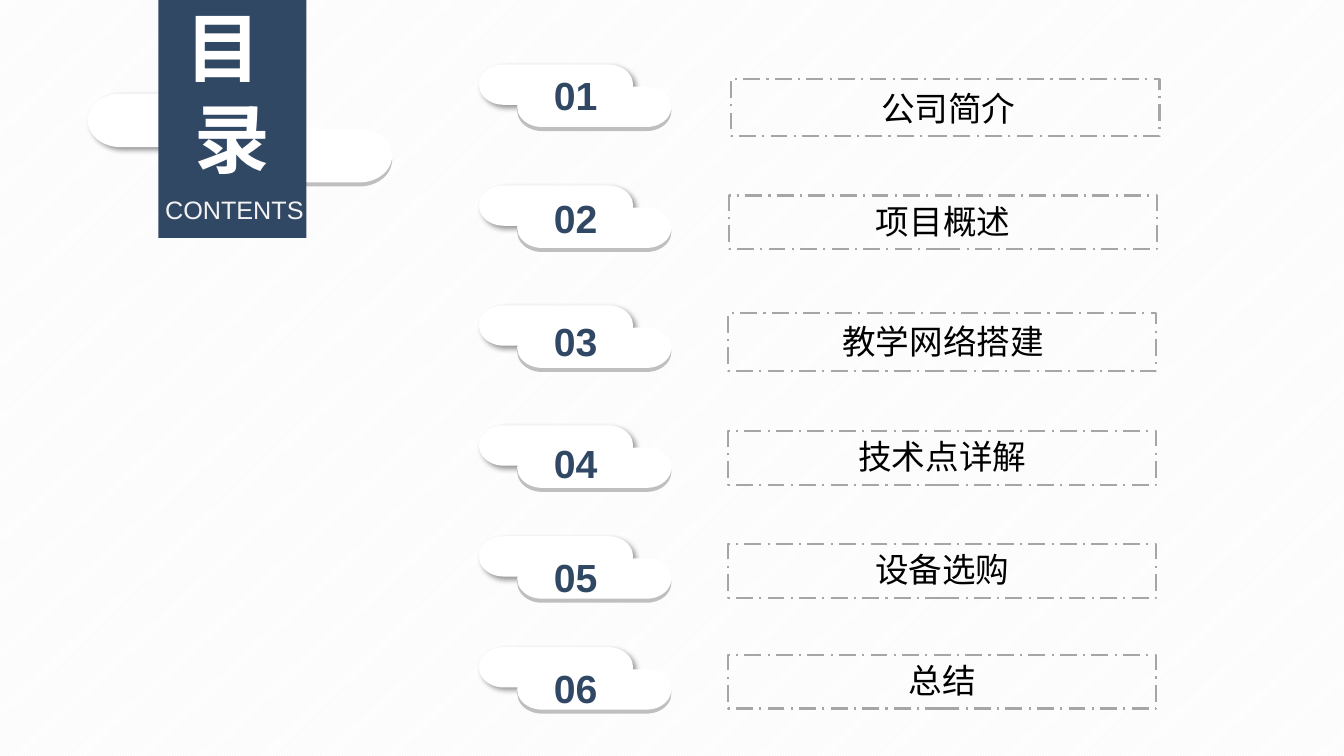
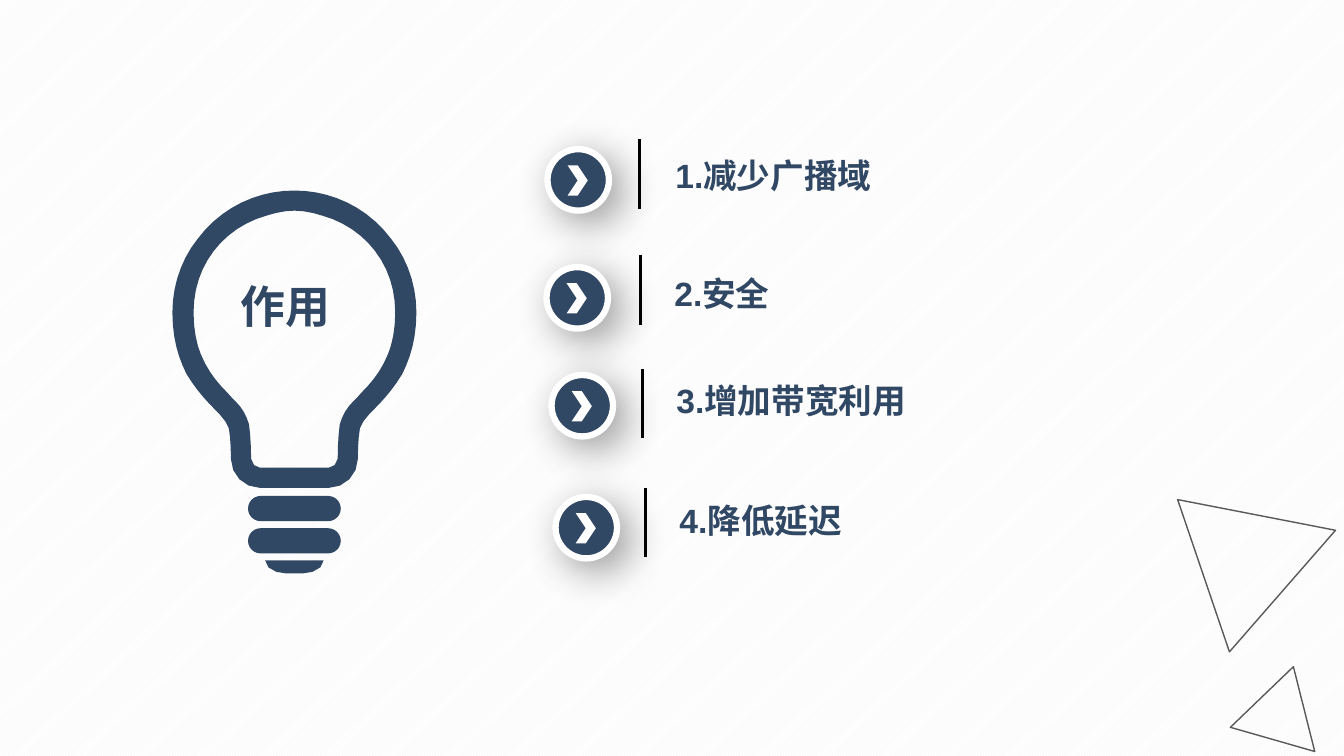
from dataclasses import dataclass
from math import dist

from lxml.etree import SubElement
from pptx import Presentation
from pptx.dml.color import RGBColor
from pptx.enum.dml import MSO_LINE, MSO_PATTERN
from pptx.enum.shapes import MSO_CONNECTOR, MSO_SHAPE
from pptx.enum.text import MSO_ANCHOR, PP_ALIGN
from pptx.oxml.ns import qn
from pptx.util import Inches, Pt


@dataclass(frozen=True)
class Theme:
    navy: str = "314865"
    white: str = "FFFFFF"
    pale: str = "F2F2F2"
    silver: str = "BFBFBF"
    gray: str = "A6A6A6"
    dark: str = "595959"
    black: str = "000000"
    font: str = "Arial"
    body_font: str = "Lato"
    bulb_font: str = "Noto Sans CJK SC"
    title: int = 54
    bulb: int = 32
    number: int = 28
    body: int = 24
    caption: int = 18


T = Theme()
SOFT = dict(opacity=40, blur=4, dist=3)
DEEP = dict(opacity=40, blur=30, dist=10)


def rgb(color):
    return RGBColor.from_string(color)


def write(tf, text, size=T.body, font=T.font, east=T.body_font, color=T.navy,
          bold=False, align=PP_ALIGN.LEFT, anchor=MSO_ANCHOR.TOP, inset=None):
    """Fill a text frame, one paragraph per line of text."""
    tf.word_wrap = True
    tf.vertical_anchor = anchor
    if inset is not None:
        tf.margin_left = tf.margin_right = Inches(inset)
        tf.margin_top = tf.margin_bottom = Inches(inset)
    for i, line in enumerate(text.split("\n")):
        p = tf.add_paragraph() if i else tf.paragraphs[0]
        p.alignment = align
        r = p.add_run()
        r.text = line
        r.font.size, r.font.bold, r.font.name = Pt(size), bold, font
        r.font.color.rgb = rgb(color)
        SubElement(r.font._element, qn("a:ea"), typeface=east)


def curve(start, pieces, step=0.12):
    """Points along a chain of cubic Bezier pieces, spaced by about one step."""
    points = [start]
    for a, b, c in pieces:
        o = points[-1]
        count = 1 + round(dist(o, c) / step)
        for i in range(1, count + 1):
            t = i / count
            u = 1 - t
            points.append(tuple(
                u**3 * o[k] + 3 * u * u * t * a[k] + 3 * u * t * t * b[k] + t**3 * c[k]
                for k in (0, 1)))
    return points


def mirrored(half, axis):
    """Close a right-hand half outline with its reflection."""
    return half + [(2 * axis - x, y) for x, y in reversed(half[1:])]


class Deck:
    def __init__(self):
        self.prs = Presentation()
        self.prs.slide_width, self.prs.slide_height = Inches(13.33), Inches(7.5)

    def slide(self, pattern):
        self.s = self.prs.slides.add_slide(self.prs.slide_layouts[6])
        fill = self.s.background.fill
        fill.patterned()
        fill.pattern = pattern
        fill.fore_color.rgb, fill.back_color.rgb = rgb(T.pale), rgb(T.white)
        self.ungroup()

    def group(self):
        self.shapes = self.s.shapes.add_group_shape().shapes

    def ungroup(self):
        self.shapes = self.s.shapes

    def style(self, sp, fill=None, line=None, width=1, dash=None, shadow=None):
        if fill:
            sp.fill.solid()
            sp.fill.fore_color.rgb = rgb(fill)
        else:
            sp.fill.background()
        if line:
            sp.line.color.rgb, sp.line.width = rgb(line), Pt(width)
            if dash:
                sp.line.dash_style = dash
        else:
            sp.line.fill.background()
        sp.shadow.inherit = False
        if shadow:
            effects = sp._element.spPr.find(qn("a:effectLst"))
            outer = SubElement(effects, qn("a:outerShdw"), blurRad=str(Pt(shadow["blur"])),
                               dist=str(Pt(shadow["dist"])), dir=str(45 * 60000),
                               algn="tl", rotWithShape="0")
            clr = SubElement(outer, qn("a:srgbClr"), val=T.black)
            SubElement(clr, qn("a:alpha"), val=str(shadow["opacity"] * 1000))
        return sp

    def shape(self, kind, x, y, w, h, rotation=0, **look):
        sp = self.shapes.add_shape(kind, Inches(x), Inches(y), Inches(w), Inches(h))
        sp.rotation = rotation
        return self.style(sp, **look)

    def text(self, text, x, y, w, h, **fmt):
        sp = self.shapes.add_textbox(Inches(x), Inches(y), Inches(w), Inches(h))
        write(sp.text_frame, text, **fmt)

    def rule(self, x, y, length):
        line = self.shapes.add_connector(MSO_CONNECTOR.STRAIGHT, Inches(x), Inches(y),
                                         Inches(x), Inches(y + length))
        line.line.color.rgb, line.line.width = rgb(T.black), Pt(2.25)
        SubElement(line._element.spPr, qn("a:effectLst"))

    def outline(self, *contours):
        scaled = [[(Inches(x), Inches(y)) for x, y in c] for c in contours]
        builder = self.shapes.build_freeform(*scaled[0][0])
        for i, points in enumerate(scaled):
            if i:
                builder.move_to(*points[0])
            builder.add_line_segments(points[1:], close=True)
        self.style(builder.convert_to_shape(), fill=T.navy)

    def cloud(self, x, y, w, h, dx, dy):
        """Two overlapping pills, the lower one with a silver rim."""
        for px, py, fill, shadow in [(x + dx, y + dy + 0.04, T.silver, None),
                                     (x, y, T.white, SOFT),
                                     (x + dx, y + dy, T.white, None)]:
            self.shape(MSO_SHAPE.FLOWCHART_TERMINATOR, px, py, w, h, fill=fill, shadow=shadow)

    def badge(self, x, y):
        self.group()
        self.shape(MSO_SHAPE.OVAL, x, y, 0.61, 0.61, fill=T.navy, line=T.white,
                   width=4.5, shadow=DEEP)
        self.shape(MSO_SHAPE.CHEVRON, x + 0.2, y + 0.16, 0.2, 0.3, fill=T.white)
        self.ungroup()

    def light_bulb(self):
        axis = 2.92
        glass = curve((axis, 1.89), [
            ((3.28, 1.89), (3.64, 2.05), (3.88, 2.37)),
            ((4.04, 2.57), (4.13, 2.83), (4.13, 3.1)),
            ((4.13, 3.36), (4.07, 3.55), (3.99, 3.71)),
            ((3.9, 3.86), (3.8, 3.97), (3.72, 4.05)),
            ((3.66, 4.11), (3.59, 4.18), (3.57, 4.25)),
            ((3.55, 4.36), (3.55, 4.5), (3.55, 4.55)),
            ((3.55, 4.71), (3.42, 4.84), (3.26, 4.84))])
        hollow = curve((axis, 2.09), [
            ((3.01, 2.09), (3.11, 2.11), (3.2, 2.14)),
            ((3.41, 2.2), (3.59, 2.32), (3.72, 2.49)),
            ((3.85, 2.66), (3.92, 2.87), (3.92, 3.1)),
            ((3.92, 3.27), (3.89, 3.41), (3.85, 3.51)),
            ((3.78, 3.68), (3.69, 3.79), (3.59, 3.89)),
            ((3.55, 3.94), (3.5, 3.98), (3.46, 4.03)),
            ((3.42, 4.08), (3.39, 4.14), (3.37, 4.21)),
            ((3.35, 4.35), (3.35, 4.5), (3.35, 4.55)),
            ((3.34, 4.6), (3.31, 4.64), (3.26, 4.64))])
        tip = [(axis, 5.56)] + curve((3.21, 5.56), [((3.21, 5.64), (3.1, 5.69), (3, 5.69))])
        self.group()
        self.outline(mirrored(glass, axis), mirrored(hollow, axis))
        for y in (4.92, 5.24):
            ring = self.shape(MSO_SHAPE.ROUNDED_RECTANGLE, axis - 0.46, y, 0.92, 0.25,
                              fill=T.navy)
            ring.adjustments[0] = 0.5
        self.outline(mirrored(tip, axis))
        self.ungroup()


def contents_slide(d):
    d.slide(MSO_PATTERN.LIGHT_UPWARD_DIAGONAL)
    # Title banner over its cloud
    d.group()
    d.cloud(0.87, 0.93, 2.01, 0.53, 1.01, 0.35)
    d.ungroup()
    d.shape(MSO_SHAPE.RECTANGLE, 1.57, 0, 1.47, 2.36, fill=T.navy)
    banner = dict(align=PP_ALIGN.CENTER, anchor=MSO_ANCHOR.MIDDLE, inset=0)
    d.text("目 \n录", 1.57, 0, 1.47, 1.82, size=T.title, color=T.white, bold=True, **banner)
    d.text("CONTENTS", 1.59, 1.93, 1.47, 0.3, size=T.caption, color=T.pale, **banner)
    # Numbered entries: text, box left, top and height, cloud top, number top, own text box
    entries = [("公司简介", 7.25, 0.78, 0.57, 0.64, 0.66, (7.36, 0.82, 4.09, 0.53)),
               ("项目概述", 7.23, 1.94, 0.53, 1.84, 1.88, None),
               ("教学网络搭建", 7.22, 3.11, 0.57, 3.03, 3.1, (7.27, 3.13, 4.17, 0.73)),
               ("技术点详解", 7.22, 4.28, 0.53, 4.22, 4.31, None),
               ("设备选购", 7.22, 5.4, 0.53, 5.32, 5.44, None),
               ("总结", 7.22, 6.5, 0.53, 6.42, 6.54, None)]
    label = dict(font=T.body_font, color=T.black, align=PP_ALIGN.CENTER)
    for n, (entry, x, y, h, cloud_y, number_y, text_at) in enumerate(entries, 1):
        box = d.shape(MSO_SHAPE.RECTANGLE, x, y, 4.25, h, line=T.gray, width=1.5,
                      dash=MSO_LINE.LONG_DASH_DOT)
        if text_at:
            d.text(entry, *text_at, **label)
        else:
            write(box.text_frame, entry, **label)
        d.group()
        d.cloud(4.75, cloud_y, 1.53, 0.4, 0.38, 0.22)
        d.text(f"{n:02}", 5.33, number_y, 0.76, 0.57, size=T.number, bold=True,
               align=PP_ALIGN.CENTER)
        d.ungroup()


def purpose_slide(d):
    d.slide(MSO_PATTERN.DARK_UPWARD_DIAGONAL)
    # Light bulb with its label
    d.light_bulb()
    d.text("作用", 2.29, 2.72, 1.27, 0.67, size=T.bulb, font=T.bulb_font, east=T.bulb_font,
           bold=True, align=PP_ALIGN.JUSTIFY)
    # Points: text, then the places of badge, rule and text
    points = [("1.减少广播域", (5.43, 1.48), (6.34, 1.38), (6.6, 1.49)),
              ("2.安全", (5.42, 2.65), (6.35, 2.53), (6.59, 2.66)),
              ("3.增加带宽利用", (5.47, 3.72), (6.37, 3.66), (6.61, 3.72)),
              ("4.降低延迟", (5.51, 4.93), (6.4, 4.84), (6.64, 4.91))]
    for point, badge_at, rule_at, text_at in points:
        d.badge(*badge_at)
        d.rule(*rule_at, 0.69)
        d.text(point, *text_at, 3.32, 0.53, bold=True)
    # Corner triangles
    for x, y, w, h, turn in [(11.4, 4.72, 1.6, 1.38, 311.1), (12.29, 6.6, 0.87, 0.75, 16)]:
        d.shape(MSO_SHAPE.ISOSCELES_TRIANGLE, x, y, w, h, rotation=turn, line=T.dark)


def main():
    d = Deck()
    contents_slide(d)
    purpose_slide(d)
    d.prs.save("out.pptx")


if __name__ == "__main__":
    main()
